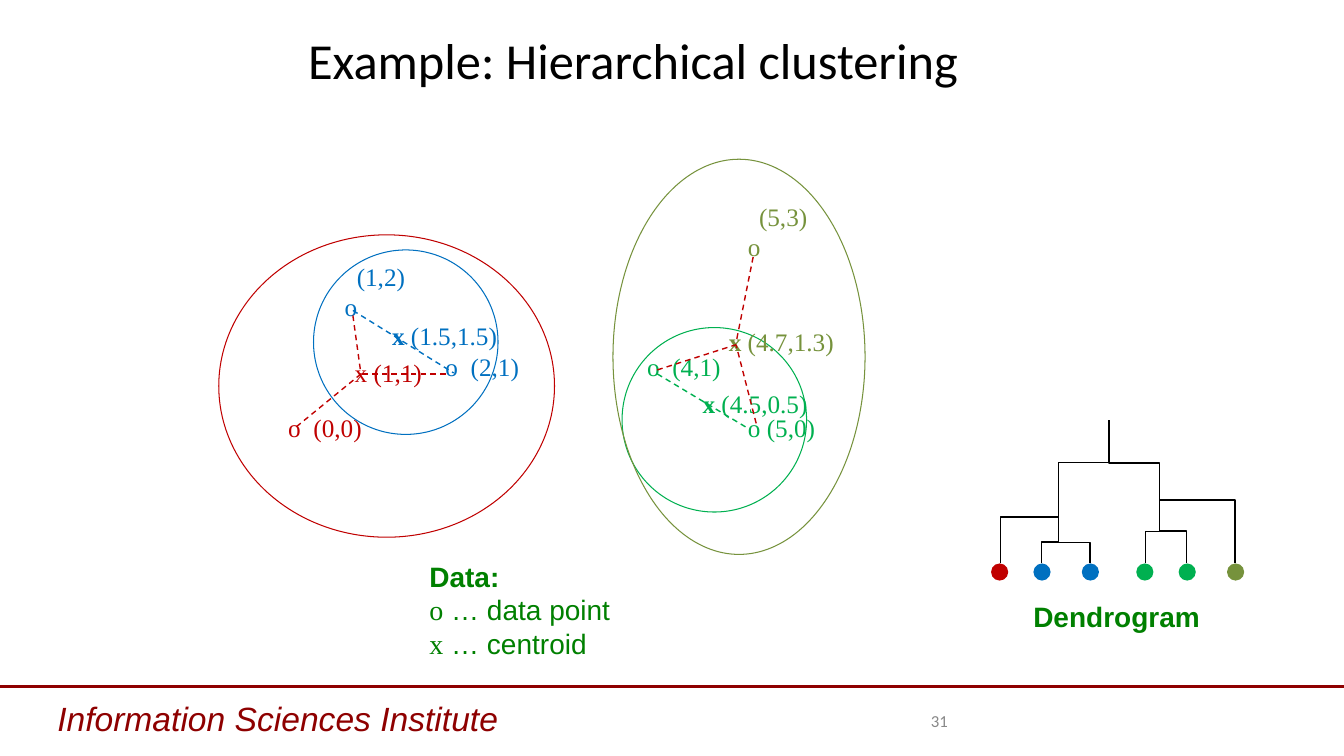
"""Build a slide showing hierarchical clustering and its dendrogram."""
import pptx
import pptx.dml.color
import pptx.enum.dml
import pptx.enum.shapes
import pptx.enum.text
import pptx.oxml.ns
import pptx.util
from lxml import etree

Inches = pptx.util.Inches
Pt = pptx.util.Pt
RGB = pptx.dml.color.RGBColor.from_string
qn = pptx.oxml.ns.qn
ALIGN = pptx.enum.text.PP_ALIGN
ANCHOR = pptx.enum.text.MSO_ANCHOR
CONNECTOR = pptx.enum.shapes.MSO_CONNECTOR
OVAL = pptx.enum.shapes.MSO_SHAPE.OVAL

COLORS = {
    "black": "000000", "gray": "888888", "maroon": "8E0000", "heading": "008000",
    "red": "C00000", "blue": "0070C0", "green": "00B050", "olive": "76923C",
}
SERIF = "Times New Roman"

prs = pptx.Presentation()
prs.slide_width, prs.slide_height = Inches(13.33), Inches(7.5)
s = prs.slides.add_slide(prs.slide_layouts[6])


def add_text(at, paragraphs, size=18, font="Arial", color="black", bold=False,
             italic=False, align=ALIGN.LEFT, anchor=ANCHOR.TOP, line_pt=None):
    """Add a box; each paragraph is (runs, tab stops, points before)."""
    tf = s.shapes.add_textbox(*map(Inches, at)).text_frame
    tf.word_wrap = True
    tf.vertical_anchor = anchor
    for i, (runs, tabs, before) in enumerate(paragraphs):
        p = tf.paragraphs[0] if i == 0 else tf.add_paragraph()
        if tabs:
            tab_list = etree.SubElement(p._p.get_or_add_pPr(), qn("a:tabLst"))
            for pos in tabs:
                etree.SubElement(tab_list, qn("a:tab"), pos=str(Inches(pos)), algn="l")
        p.alignment = align
        if line_pt:
            p.line_spacing = Pt(line_pt)
        if before:
            p.space_before = Pt(before)
        for value, fmt in runs:
            r = p.add_run()
            r.text = value
            r.font.size = Pt(size)
            r.font.name = fmt.get("font", font)
            r.font.bold = fmt.get("bold", bold)
            r.font.italic = italic
            r.font.color.rgb = RGB(COLORS[fmt.get("color", color)])


def add_line(x1, y1, x2, y2, color, width=1, kind=CONNECTOR.STRAIGHT, dashed=False):
    """Add a connector without a shadow."""
    c = s.shapes.add_connector(kind, *map(Inches, (x1, y1, x2, y2)))
    c.line.color.rgb = RGB(COLORS[color])
    c.line.width = Pt(width)
    if dashed:
        c.line.dash_style = pptx.enum.dml.MSO_LINE.DASH
    etree.SubElement(c._element.spPr, qn("a:effectLst"))
    return c


add_line(0, 6.81, 13.33, 6.81, "maroon", 2.25)
add_text((0.47, 6.87, 6.57, 0.51), [([("Information Sciences Institute", {})], [], 0)],
         size=24, color="maroon", italic=True)
add_text((7.17, 6.95, 2.33, 0.4), [([("31", {})], [], 0)], size=12, font="Calibri",
         color="gray", align=ALIGN.RIGHT, anchor=ANCHOR.MIDDLE)
add_text((0.67, 0.24, 11.22, 0.7), [([("Example: Hierarchical clustering", {})], [], 0)],
         size=36, font="Calibri", align=ALIGN.CENTER, anchor=ANCHOR.MIDDLE)

row = 21.5
olive, blue, green, red = ({"color": c} for c in ("olive", "blue", "green", "red"))
add_text((2.32, 1.95, 5.92, 2.83), [
    ([("\t(5,3)", olive)], [5.11], 0),
    ([("\to", olive)], [5], 0),
    ([("\t(1,2)", blue)], [1.12], 0),
    ([("\to", blue)], [1], 0),
    ([("\to\t(2,1)", blue), ("\to\t(4,1)", green)], [2, 2.25, 4, 4.25], row),
    ([("\to\t(0,0)", red), ("\to (5,0)", green)], [0.44, 0.69, 5], row),
], font=SERIF, line_pt=row)

clusters = [
    (3.11, 2.48, 1.83, 1.83, "blue"),
    (6.17, 3.25, 1.83, 1.83, "green"),
    (2.17, 2.33, 3.33, 3, "red"),
    (6.08, 1.58, 2.5, 3.92, "olive"),
]
for x, y, w, h, color in clusters:
    sp = s.shapes.add_shape(OVAL, *map(Inches, (x, y, w, h)))
    sp.shadow.inherit = False
    sp.fill.background()
    sp.line.color.rgb = RGB(COLORS[color])
    sp.line.width = Pt(0.75)

centroids = [
    (3.79, 3.13, 1.27, "(1.5,1.5)", "blue", True),
    (6.87, 3.8, 1.27, "(4.5,0.5)", "green", True),
    (3.42, 3.5, 0.9, "(1,1)", "red", False),
    (7.13, 3.19, 1.27, "(4.7,1.3)", "olive", True),
]
for x, y, w, point, color, bold in centroids:
    add_text((x, y, w, 0.4), [([("x", {"bold": bold}), (" " + point, {})], [], 0)],
             font=SERIF, color=color)

leaves = [(9.83, "red"), (10.25, "blue"), (10.73, "blue"),
          (11.27, "green"), (11.69, "green"), (12.17, "olive")]
for x, color in leaves:
    sp = s.shapes.add_shape(OVAL, *map(Inches, (x, 5.59, 0.17, 0.17)))
    sp.shadow.inherit = False
    sp.fill.solid()
    sp.fill.fore_color.rgb = RGB(COLORS[color])
    sp.line.fill.background()

branches = [
    (9.92, 5.59, 10.5, 4.67, 0.5),
    (10.33, 5.59, 10.5, 5.09, 0.43),
    (10.81, 5.59, 10.5, 5.17, 0.5),
    (11.36, 5.59, 11.5, 5.17, 0.76),
    (11.77, 5.59, 11.5, 4.92, 0.48),
    (12.25, 5.59, 11.5, 4.59, 0.63),
    (10.5, 5.01, 11, 4.17, 0.5),
    (11.5, 4.84, 11, 4.17, 0.37),
]
for x1, y1, x2, y2, bend in branches:
    mid_x, mid_y = (x1 + x2) / 2, (y1 + y2) / 2
    rightward = x2 > x1
    half_w = (y1 - y2) / 2 if rightward else (y2 - y1) / 2
    half_h = abs(x2 - x1) / 2
    c = add_line(mid_x - half_w, mid_y - half_h, mid_x + half_w, mid_y + half_h,
                 "black", kind=CONNECTOR.ELBOW)
    c._element.spPr.find(qn("a:xfrm")).set("rot", str((270 if rightward else 90) * 60000))
    guides = c._element.spPr.find(qn("a:prstGeom")).find(qn("a:avLst"))
    etree.SubElement(guides, qn("a:gd"), name="adj1", fmla=f"val {round(bend * 100000)}")

plain = {"bold": False}
serif = {"bold": False, "font": SERIF}
add_text((4.16, 5.5, 2.01, 1.11), [
    ([("Data:", {})], [], 0),
    ([("o", serif), (" … data point", plain)], [], 0),
    ([("x", serif), (" … centroid", plain)], [], 0),
], size=20, color="heading", bold=True)
add_text((10.15, 5.9, 1.87, 0.44), [([("Dendrogram", {})], [], 0)],
         size=20, color="heading", bold=True)

distances = [
    (3.5, 3.08, 4.5, 3.7, "blue"),
    (6.52, 3.71, 7.42, 4.25, "green"),
    (3.5, 3.13, 3.58, 3.71, "red"),
    (4.42, 3.71, 3.58, 3.71, "red"),
    (3.58, 3.71, 2.92, 4.25, "red"),
    (7.47, 2.55, 7.3, 3.4, "red"),
    (6.52, 3.67, 7.3, 3.42, "red"),
    (7.5, 4.2, 7.3, 3.42, "red"),
]
for distance in distances:
    add_line(*distance, dashed=True)

prs.save("out.pptx")
